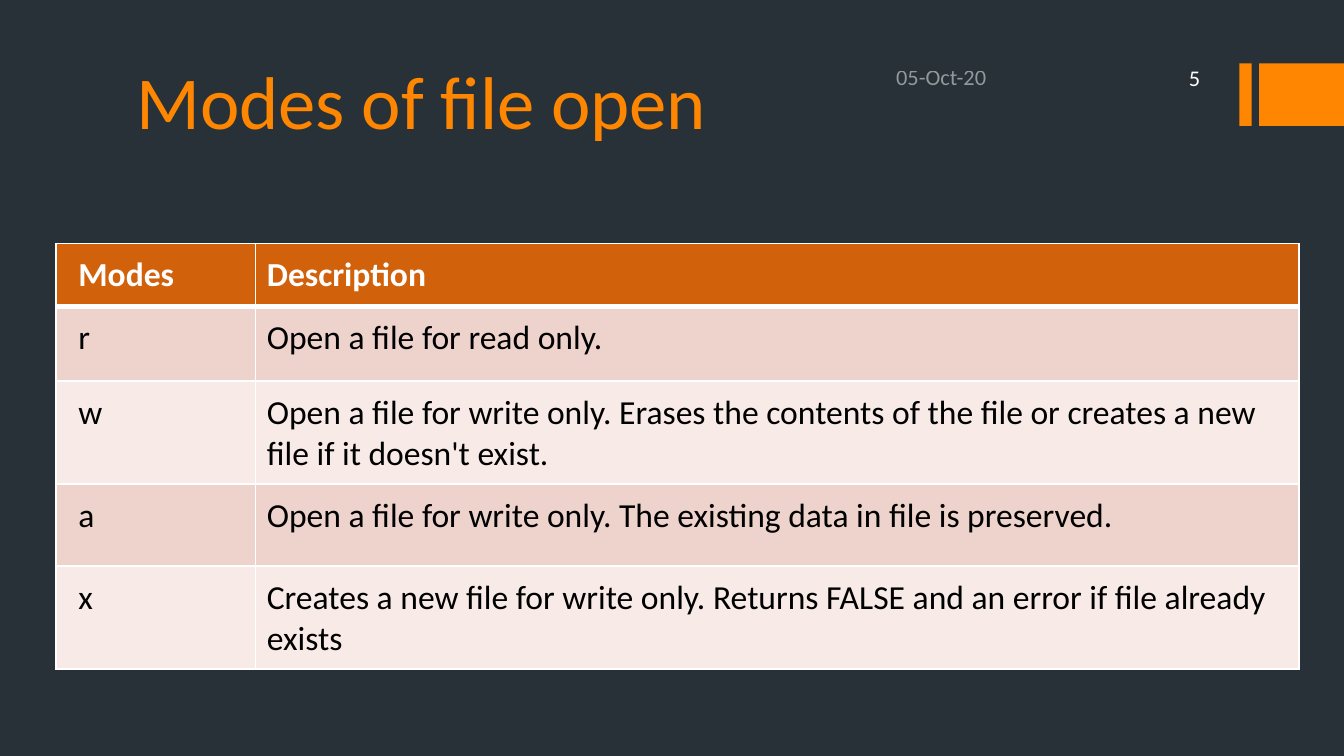
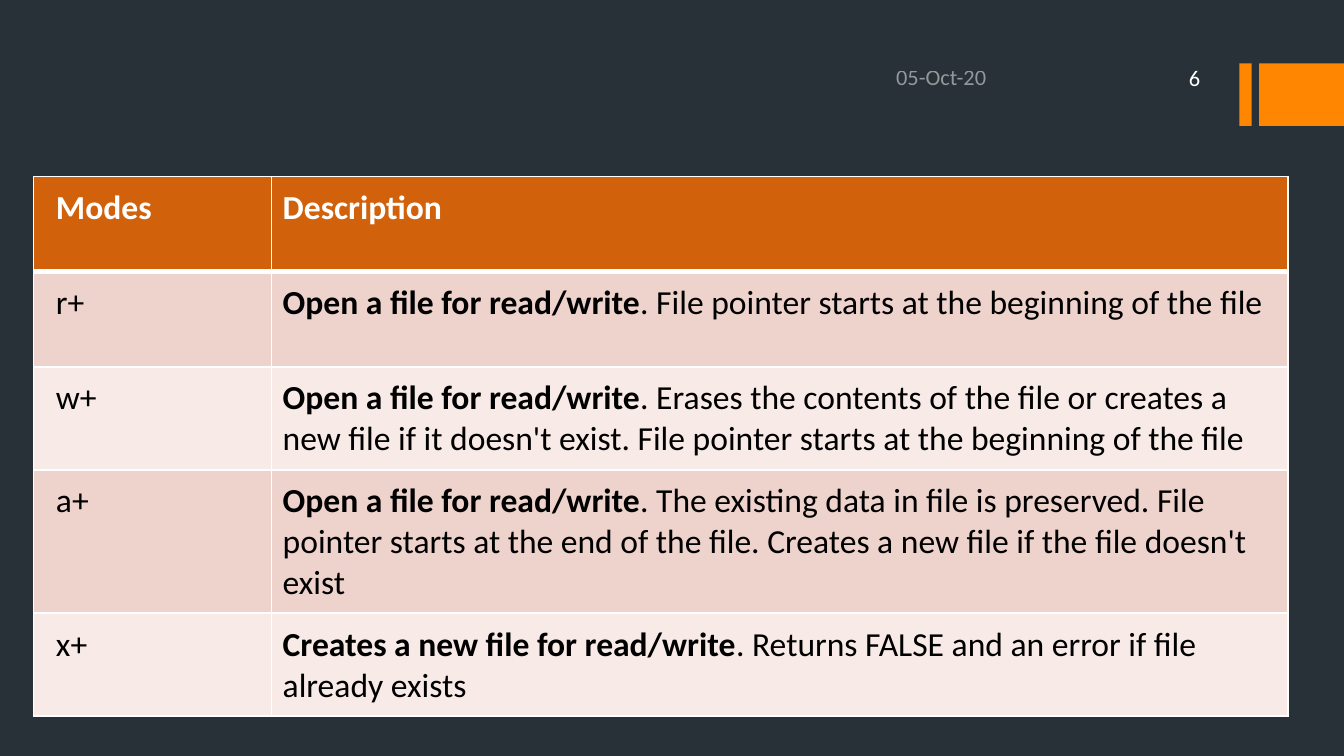
from lxml import etree
from pptx import Presentation
from pptx.dml.color import RGBColor
from pptx.enum.shapes import MSO_SHAPE
from pptx.enum.text import MSO_ANCHOR, PP_ALIGN
from pptx.oxml.ns import qn
from pptx.util import Pt

RECTANGLE = MSO_SHAPE.RECTANGLE
MIDDLE, BOTTOM = MSO_ANCHOR.MIDDLE, MSO_ANCHOR.BOTTOM
LEFT, RIGHT = PP_ALIGN.LEFT, PP_ALIGN.RIGHT

BACKGROUND = RGBColor(0x28, 0x31, 0x38)
ORANGE = RGBColor(0xFF, 0x86, 0x00)
HEADER_FILL = RGBColor(0xD2, 0x61, 0x0C)
BAND_FILLS = (RGBColor(0xF7, 0xEA, 0xE7), RGBColor(0xEE, 0xD2, 0xCC))
WHITE = RGBColor(0xFF, 0xFF, 0xFF)
BLACK = RGBColor(0x00, 0x00, 0x00)
FONT = "Calibri"

ACCENT_BARS = ((664, 6.5), (674.5, 45.5))  # left, width
HEADER_ROW = ("Modes", ("", "Description"))

# Each description is a bold lead followed by regular text.
SLIDES = [
    {
        "title": "Modes of file open",
        "number": "5",
        "position": (30, 130.5),
        "columns": (107, 559),
        "row_heights": (32.5, 40, 52.5, 44, 52.5),
        "modes": [
            ("r", ("", "Open a file for read only.")),
            ("w", ("", "Open a file for write only. Erases the contents of the file "
                       "or creates a new file if it doesn't exist.")),
            ("a", ("", "Open a file for write only. The existing data in file is preserved.")),
            ("x", ("", "Creates a new file for write only. Returns FALSE and an error "
                       "if file already exists")),
        ],
    },
    {
        "title": None,
        "number": "6",
        "position": (18, 94.5),
        "columns": (127.5, 544.5),
        "row_heights": (51,) * 5,
        "modes": [
            ("r+", ("Open a file for read/write",
                    ". File pointer starts at the beginning of the file")),
            ("w+", ("Open a file for read/write",
                    ". Erases the contents of the file or creates a new file if it "
                    "doesn't exist. File pointer starts at the beginning of the file")),
            ("a+", ("Open a file for read/write",
                    ". The existing data in file is preserved. File pointer starts at "
                    "the end of the file. Creates a new file if the file doesn't exist")),
            ("x+", ("Creates a new file for read/write",
                    ". Returns FALSE and an error if file already exists")),
        ],
    },
]


def add_text(slide, text, box, size, color, anchor=MIDDLE, alignment=LEFT):
    """Add a one-line text box and return its text frame."""
    text_frame = slide.shapes.add_textbox(*map(Pt, box)).text_frame
    text_frame.word_wrap = True
    text_frame.vertical_anchor = anchor
    text_frame.text = text
    paragraph = text_frame.paragraphs[0]
    paragraph.alignment = alignment
    font = paragraph.runs[0].font
    font.name, font.size, font.color.rgb = FONT, Pt(size), color
    return text_frame


def set_cell_borders(cell, top, bottom):
    """Draw white borders; top and bottom are widths in points."""
    properties = cell._tc.get_or_add_tcPr()
    for side, width in (("L", 1), ("R", 1), ("T", top), ("B", bottom)):
        line = etree.SubElement(properties, qn(f"a:ln{side}"), w=str(Pt(width)))
        fill = etree.SubElement(line, qn("a:solidFill"))
        etree.SubElement(fill, qn("a:srgbClr"), val=str(WHITE))


presentation = Presentation()
presentation.slide_width = Pt(720)
presentation.slide_height = Pt(405)

for content in SLIDES:
    slide = presentation.slides.add_slide(presentation.slide_layouts[6])
    slide.background.fill.solid()
    slide.background.fill.fore_color.rgb = BACKGROUND

    for left, width in ACCENT_BARS:
        bar = slide.shapes.add_shape(RECTANGLE, Pt(left), Pt(34), Pt(width), Pt(33.5))
        bar.shadow.inherit = False
        bar.fill.solid()
        bar.fill.fore_color.rgb = ORANGE
        bar.line.fill.background()

    if content["title"]:
        title = add_text(slide, content["title"], (66, 11, 576, 68), 40, ORANGE, BOTTOM)
        title.margin_bottom = Pt(1.5)

    # Table of modes
    rows = [HEADER_ROW] + content["modes"]
    left, top = content["position"]
    columns, row_heights = content["columns"], content["row_heights"]
    table = slide.shapes.add_table(
        len(rows), len(columns), Pt(left), Pt(top), Pt(sum(columns)), Pt(sum(row_heights))
    ).table
    for column, width in zip(table.columns, columns):
        column.width = Pt(width)

    for row_index, (mode, description) in enumerate(rows):
        table.rows[row_index].height = Pt(row_heights[row_index])
        is_header = row_index == 0
        for column_index, parts in enumerate((("", mode), description)):
            cell = table.cell(row_index, column_index)
            cell.margin_left = Pt(6 if column_index else 12)
            cell.margin_right = cell.margin_top = cell.margin_bottom = Pt(6)
            set_cell_borders(cell, 3 if row_index == 1 else 1, 3 if is_header else 1)
            cell.fill.solid()
            cell.fill.fore_color.rgb = HEADER_FILL if is_header else BAND_FILLS[row_index % 2]
            paragraph = cell.text_frame.paragraphs[0]
            for is_lead, text in zip((True, False), parts):
                if text:
                    run = paragraph.add_run()
                    run.text = text
                    run.font.name, run.font.size = FONT, Pt(18)
                    run.font.bold = is_header or is_lead
                    run.font.color.rgb = WHITE if is_header else BLACK

    # Half-transparent date and slide number
    date = add_text(slide, "05-Oct-20", (473, 32.5, 93.5, 17.5), 12, WHITE)
    date_color = date._txBody.find(f".//{qn('a:srgbClr')}")
    etree.SubElement(date_color, qn("a:alpha"), val="50000")
    add_text(slide, content["number"], (576, 32.5, 74, 18), 12, WHITE, alignment=RIGHT)

presentation.save("out.pptx")
